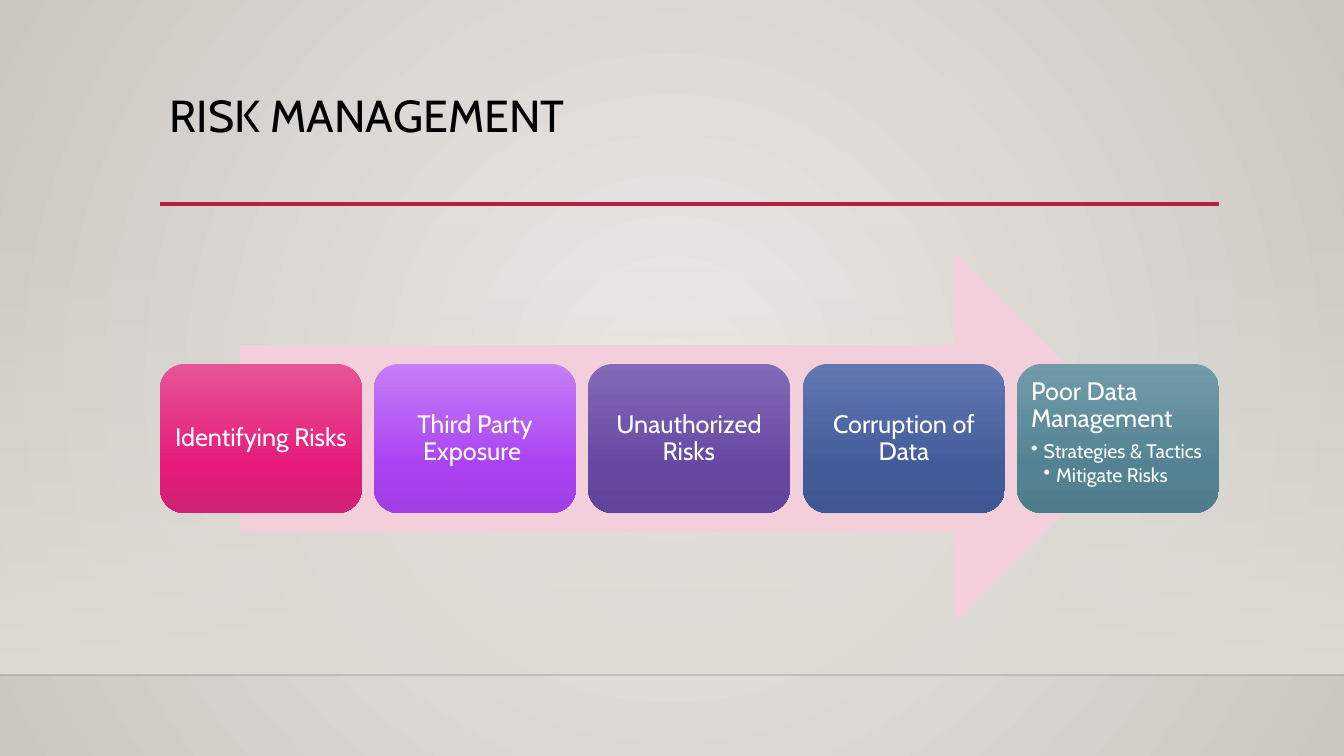
from dataclasses import dataclass

from lxml import etree
from pptx import Presentation
from pptx import util as u
from pptx.dml.color import RGBColor
from pptx.enum import shapes, text
from pptx.oxml import ns, parse_xml

EMU_PER_PX = 914400 / 100.8
WIDTH, HEIGHT = 1344, 756
LEFT, CONTENT_WIDTH = 160, 1059
FLOOR_Y, RULE_Y = 675, 204
CARD_TOP, CARD_WIDTH, CARD_HEIGHT, CARD_INSET = 364, 202, 149, 7
BULLET_STEP = 12.5
FONT = "Cabin"
COLORS = {
    "centre": "ECEAE7", "edge": "CAC7C1", "wall": "DFDBD5", "floor": "000001",
    "rule": "B71E42", "title": "000000", "arrow": "F2CFDB", "card text": "FFFFFF",
}
LINEAR = '<a:lin ang="5400000" scaled="0"/>'
RADIAL = '<a:path path="circle"><a:fillToRect l="50000" t="50000" r="50000" b="50000"/></a:path>'


@dataclass
class Stop:
    position: int
    color: str
    alpha: int = 100


@dataclass
class Line:
    wording: str
    level: int = 0


@dataclass
class Card:
    lines: list[Line]
    gradient: tuple[str, str, str]
    centred: bool = True


CARDS = [
    Card([Line("Identifying Risks")], ("E75597", "E51A79", "CF2374")),
    Card([Line("Third Party Exposure ")], ("C57FF7", "AA41F3", "A13FE5")),
    Card([Line("Unauthorized Risks")], ("836AB8", "6648A3", "60459A")),
    Card([Line("Corruption of Data")], ("6378B0", "425B9B", "3F5793")),
    Card([Line("Poor Data Management"), Line("Strategies & Tactics", 1), Line("Mitigate Risks", 2)],
         ("729BA9", "538393", "4F7C8B"), centred=False),
]


def px(length: float) -> u.Emu:
    return u.Emu(round(length * EMU_PER_PX))


def set_values(target, values: dict) -> None:
    for name, value in values.items():
        setattr(target, name, value)


def fill_gradient(owner, fill, stops: list[Stop], direction: str) -> None:
    """Fill with any number of stops; owner is the object holding the fill."""
    fill.gradient()
    marks = "".join(
        f'<a:gs pos="{stop.position * 1000}"><a:srgbClr val="{stop.color}">'
        f'<a:alpha val="{stop.alpha * 1000}"/></a:srgbClr></a:gs>' for stop in stops)
    gradient = parse_xml(f'<a:gradFill {ns.nsdecls("a")} rotWithShape="1">'
                         f"<a:gsLst>{marks}</a:gsLst>{direction}</a:gradFill>")
    old = owner._element.xpath(".//a:gradFill")[0]
    old.getparent().replace(old, gradient)


def add_plain_shape(page, kind, left: int, top: int, width: int, height: int):
    """Add a shape without outline or shadow."""
    shape = page.shapes.add_shape(kind, px(left), px(top), px(width), px(height))
    shape.shadow.inherit = False
    shape.line.fill.background()
    return shape


def add_rule(page, left: int, right: int, y: int, color: str, weight: float, alpha: int = 100) -> None:
    rule = page.shapes.add_connector(shapes.MSO_CONNECTOR.STRAIGHT, px(left), px(y), px(right), px(y))
    rule.line.width = u.Pt(weight)
    rule.line.color.rgb = RGBColor.from_string(color)
    if alpha < 100:
        tint = rule._element.xpath(".//a:ln//a:srgbClr")[0]
        etree.SubElement(tint, ns.qn("a:alpha"), val=str(alpha * 1000))
    etree.SubElement(rule._element.spPr, ns.qn("a:effectLst"))


def write(para, wording: str, size: int, color: str) -> None:
    para.line_spacing = 0.9
    span = para.add_run()
    span.text = wording
    set_values(span.font, {"name": FONT, "size": u.Pt(size)})
    span.font.color.rgb = RGBColor.from_string(color)


def add_bullet(para, level: int) -> None:
    properties = para._p.get_or_add_pPr()
    properties.set("marL", str(px(level * BULLET_STEP)))
    properties.set("indent", str(px(-BULLET_STEP)))
    etree.SubElement(properties, ns.qn("a:buChar"), char="•")


def add_card(page, card: Card, left: int) -> None:
    box = add_plain_shape(page, shapes.MSO_SHAPE.ROUNDED_RECTANGLE,
                          left, CARD_TOP, CARD_WIDTH, CARD_HEIGHT)
    stops = [Stop(position, color) for position, color in zip((0, 69, 100), card.gradient)]
    fill_gradient(box, box.fill, stops, LINEAR)
    frame = box.text_frame
    margins = {f"margin_{side}": px(CARD_INSET) for side in ("left", "top", "right", "bottom")}
    anchor = text.MSO_ANCHOR.MIDDLE if card.centred else text.MSO_ANCHOR.TOP
    set_values(frame, {"word_wrap": True, "vertical_anchor": anchor, **margins})
    for index, line in enumerate(card.lines):
        para = frame.add_paragraph() if index else frame.paragraphs[0]
        if line.level:
            add_bullet(para, line.level)
        set_values(para, {
            "level": line.level,
            "alignment": text.PP_ALIGN.CENTER if card.centred else text.PP_ALIGN.LEFT,
            "space_after": u.Pt(2 if line.level else 6),
        })
        write(para, line.wording, 14 if line.level else 18, COLORS["card text"])


def add_backdrop(page) -> None:
    fill_gradient(page, page.background.fill,
                  [Stop(0, COLORS["centre"]), Stop(100, COLORS["edge"])], RADIAL)
    wall_top = 223
    wall = add_plain_shape(page, shapes.MSO_SHAPE.RECTANGLE, 0, wall_top, WIDTH, FLOOR_Y - wall_top)
    fill_gradient(wall, wall.fill, [Stop(0, COLORS["wall"], 0), Stop(100, COLORS["wall"])], LINEAR)
    add_rule(page, 0, WIDTH, FLOOR_Y, COLORS["floor"], 1, alpha=20)
    add_rule(page, LEFT, LEFT + CONTENT_WIDTH, RULE_Y, COLORS["rule"], 2.5)


def add_title(page) -> None:
    box = page.shapes.add_textbox(px(LEFT), px(89), px(CONTENT_WIDTH), px(115))
    box.text_frame.word_wrap = True
    write(box.text_frame.paragraphs[0], "RISK MANAGEMENT", 32, COLORS["title"])


def main() -> None:
    deck = Presentation()
    set_values(deck, {"slide_width": px(WIDTH), "slide_height": px(HEIGHT)})
    page = deck.slides.add_slide(deck.slide_layouts[6])
    add_backdrop(page)
    add_title(page)
    arrow = add_plain_shape(page, shapes.MSO_SHAPE.RIGHT_ARROW, 240, 252, 900, 373)
    arrow.fill.solid()
    arrow.fill.fore_color.rgb = RGBColor.from_string(COLORS["arrow"])
    pitch = (CONTENT_WIDTH - CARD_WIDTH) / (len(CARDS) - 1)
    for index, card in enumerate(CARDS):
        add_card(page, card, round(LEFT + index * pitch))
    deck.save("out.pptx")


if __name__ == "__main__":
    main()
